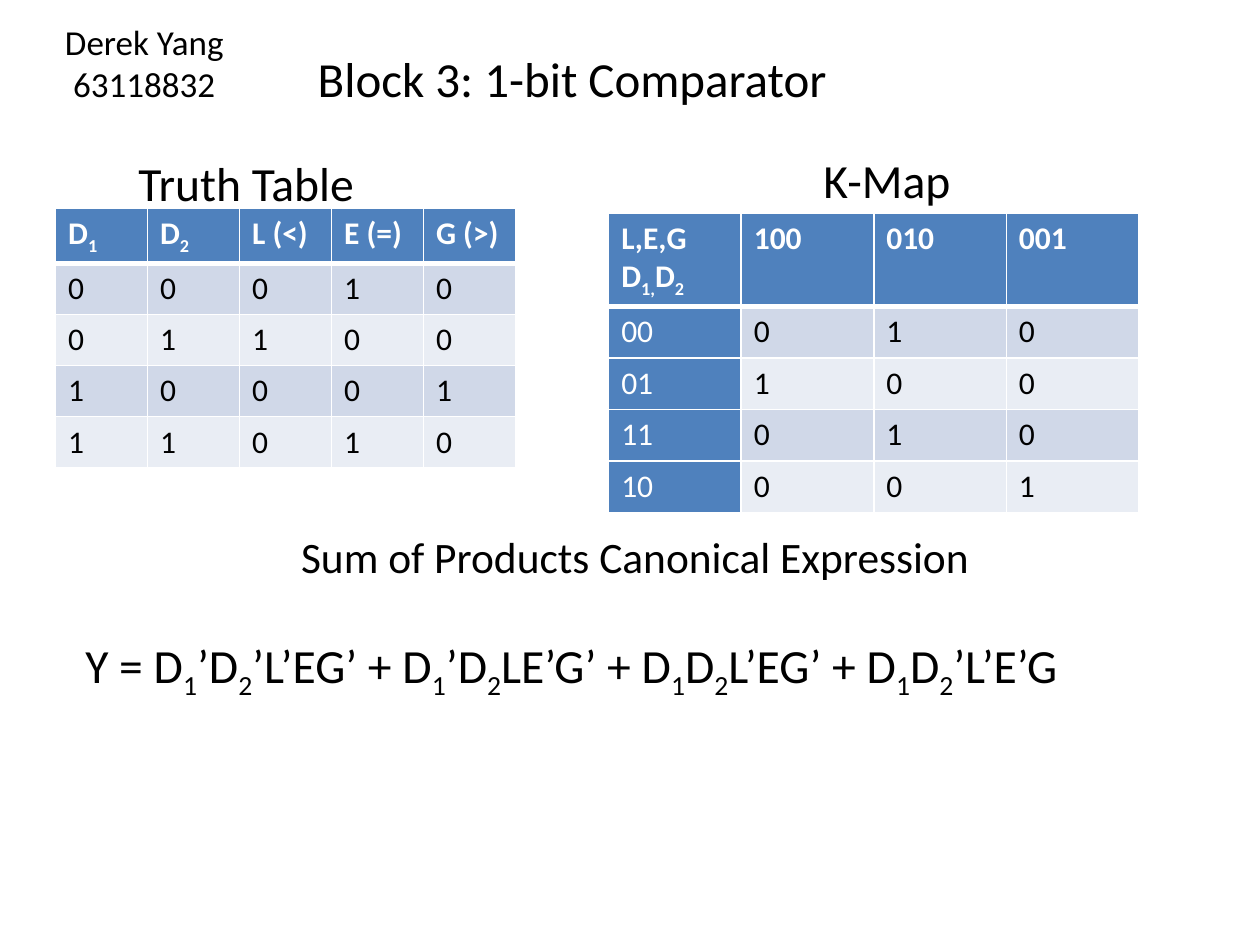
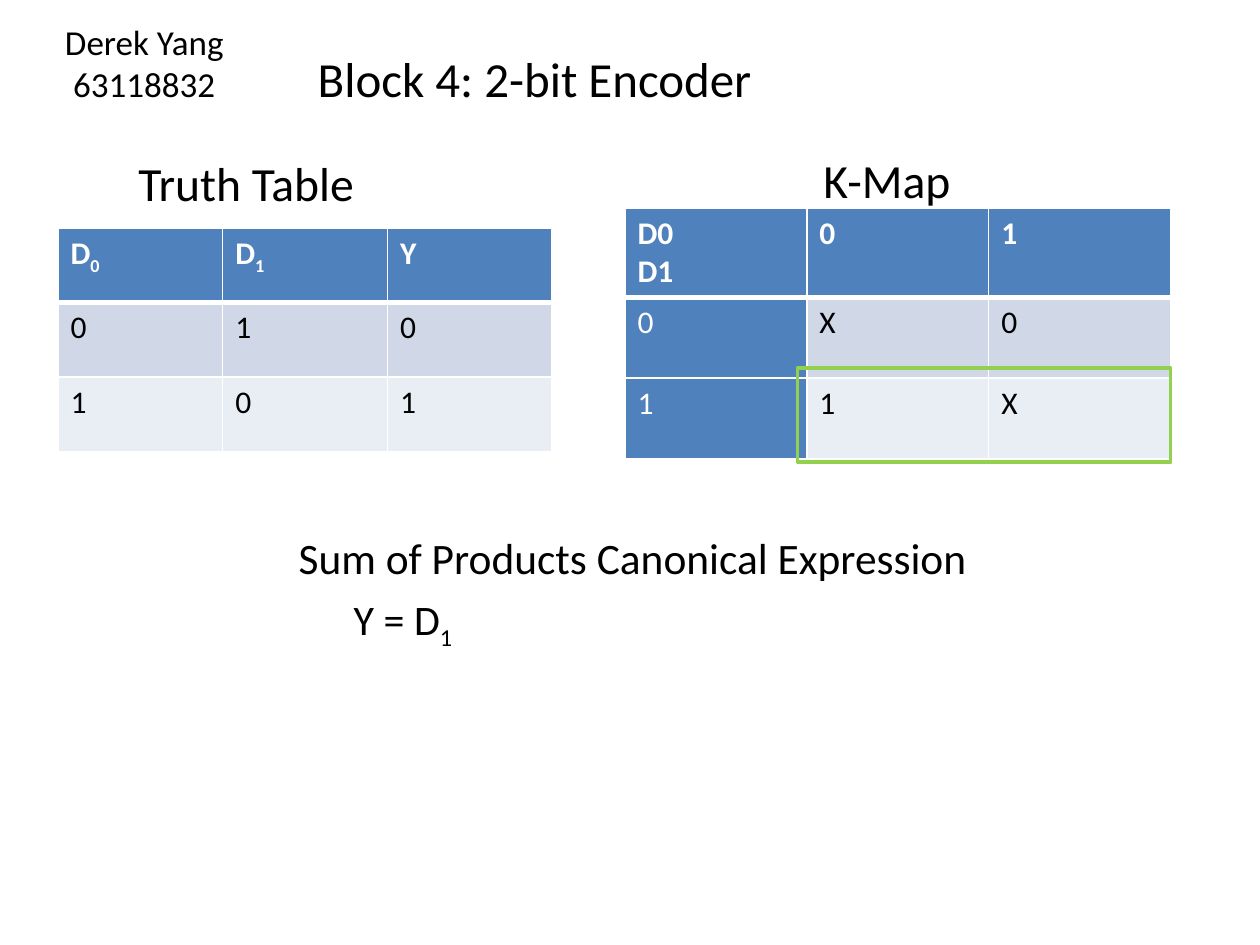
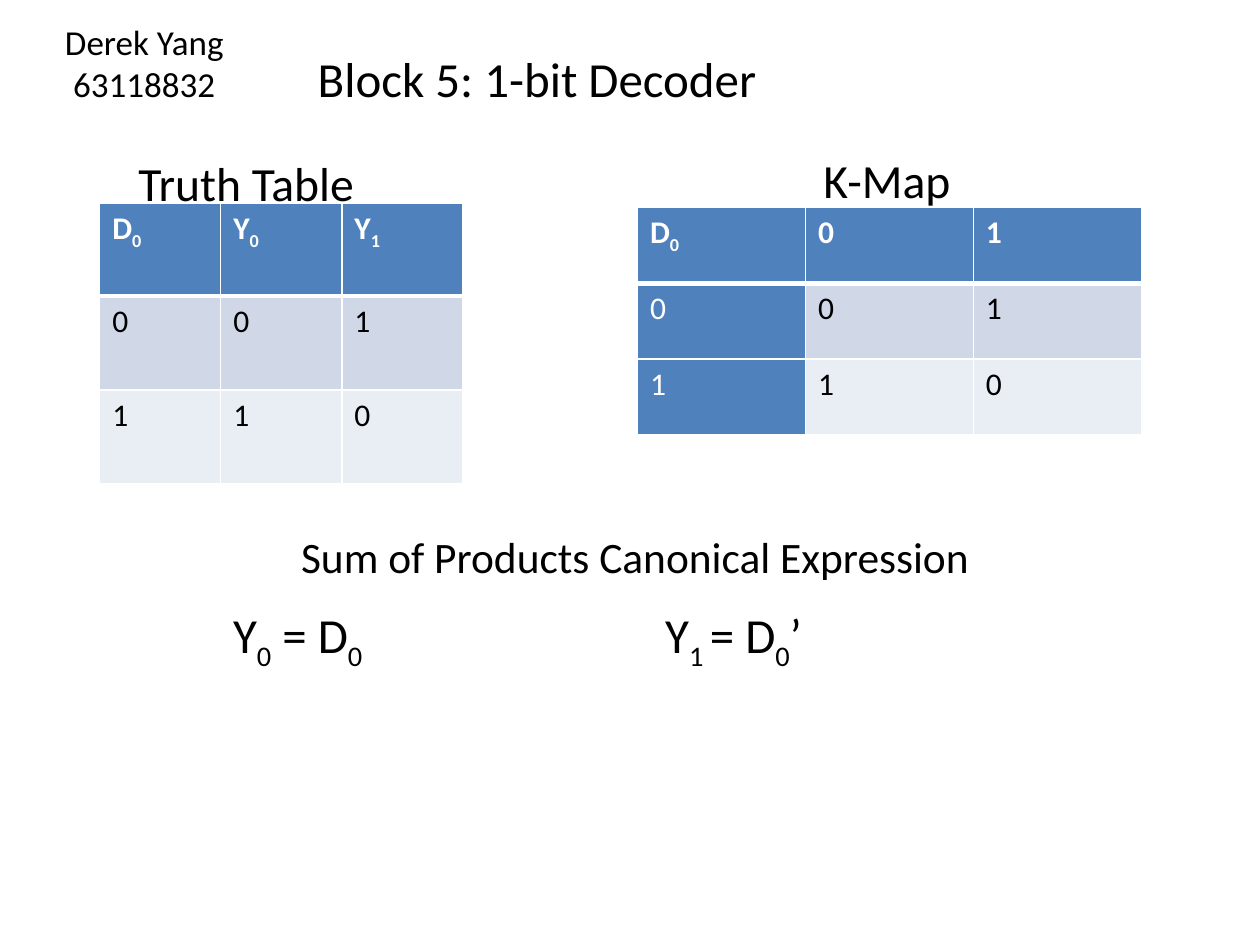
from lxml import etree
from pptx import Presentation
from pptx.dml.color import RGBColor
from pptx.enum.shapes import MSO_SHAPE
from pptx.enum.text import MSO_ANCHOR, MSO_AUTO_SIZE, PP_ALIGN
from pptx.oxml.ns import qn
from pptx.util import Cm, Pt

LEFT, MID = PP_ALIGN.LEFT, PP_ALIGN.CENTER
TOP, CENTRE = MSO_ANCHOR.TOP, MSO_ANCHOR.MIDDLE
FIXED, GROW = MSO_AUTO_SIZE.NONE, MSO_AUTO_SIZE.SHAPE_TO_FIT_TEXT
RECT = MSO_SHAPE.RECTANGLE

THEME = {
    "font": "Calibri",
    "ink": "000000", "paper": "FFFFFF", "head": "4F81BD",
    "bands": ("D0D8E8", "E9EDF4"), "mark": "92D050",
    "name": 20, "title": 28, "label": 27.2, "sum": 24.8, "cell": 18,
    "thin": 1, "thick": 3, "loop": 2,
}

NAME = "Derek Yang\v63118832"
SUM = "Sum of Products Canonical Expression"
LABELS = [("Truth Table", (2.54, 2.97, 5.28, 1.27), LEFT),
          ("K-Map", (15.24, 2.92, 5.28, 1.27), MID)]

# Text between tildes is subscript.
SLIDES = [
    {
        "title": "Block 3: 1-bit Comparator",
        "truth": ((1.12, 4.19, 9.27, 5.16), 1.03, [
            ("D~1~", "D~2~", "L (<)", "E (=)", "G (>)"),
            "00010", "01100", "10001", "11010"]),
        "map": ((12.27, 4.29, 10.69, 5.9), 1.04, [
            ("L,E,G\nD~1,~D~2~", "100", "010", "001"),
            ("00", *"010"), ("01", *"100"), ("11", *"010"), ("10", *"001")]),
        "sum": (5.51, 10.57, 14.6, 1.27),
        "expr": ("Y = D~1~’D~2~’L’EG’ + D~1~’D~2~LE’G’ + "
                 "D~1~D~2~L’EG’ + D~1~D~2~’L’E’G",
                 (1.47, 12.7, 21.16, 1.27), 27.2, FIXED),
    },
    {
        "title": "Block 4: 2-bit Encoder",
        "truth": ((1.17, 4.6, 9.96, 4.5), 1.5,
                  [("D~0~", "D~1~", "Y"), "010", "101"]),
        "map": ((12.6, 4.19, 11, 5.05), 1.62,
                [("D0\nD1", "0", "1"), "0X0", "11X"]),
        "sum": (5.46, 10.59, 14.6, 1.27),
        "expr": ("Y = D~1~", (6.88, 11.84, 16.71, 1.27), 24, GROW),
        "loop": (16.08, 7.42, 7.52, 1.9),
    },
    {
        "title": "Block 5: 1-bit Decoder",
        "truth": ((2.01, 4.09, 7.32, 5.66), 1.89,
                  [("D~0~", "Y~0~", "Y~1~"), "001", "110"]),
        "map": ((12.85, 4.17, 10.16, 4.6), 1.53,
                [("D~0~", "0", "1"), "001", "110"]),
        "sum": (5.51, 10.57, 14.6, 1.27),
        "expr": ("Y~0~ = D~0~\tY~1 ~= D~0~’",
                 (4.45, 12.07, 19.05, 1.45), 28, GROW),
        "tab": 8.71,
    },
]


def rgb(tone):
    return RGBColor.from_string(tone)


def span(box):
    return [Cm(n) for n in box]


def write(frame, text, size, tone=THEME["ink"], bold=False, align=LEFT):
    look = {"name": THEME["font"], "size": Pt(size), "bold": bold}
    for row, line in enumerate(text.split("\n")):
        para = frame.add_paragraph() if row else frame.paragraphs[0]
        para.alignment = align
        for part, piece in enumerate(line.split("\v")):
            if part:
                para.add_line_break()
            for turn, bit in enumerate(piece.split("~")):
                if not bit:
                    continue
                run = para.add_run()
                run.text = bit
                for key, value in look.items():
                    setattr(run.font, key, value)
                run.font.color.rgb = rgb(tone)
                if turn % 2:
                    run.font._element.set("baseline", "-25000")


def label(slide, text, box, size, align=LEFT, anchor=TOP, fit=FIXED, shape=None):
    shape = shape or slide.shapes.add_textbox(*span(box))
    for key, value in zip(("left", "top", "width", "height"), span(box)):
        setattr(shape, key, value)
    frame = shape.text_frame
    form = {"word_wrap": True, "auto_size": fit, "vertical_anchor": anchor}
    for key, value in form.items():
        setattr(frame, key, value)
    write(frame, text, size, align=align)
    return frame


def edge(cell, head, under):
    props = cell._tc.get_or_add_tcPr()
    for spot, side in enumerate("LRTB"):
        wide = head and side == "B" or under and side == "T"
        line = etree.Element(qn("a:ln" + side))
        line.set("w", str(Pt(THEME["thick" if wide else "thin"])))
        fill = etree.SubElement(line, qn("a:solidFill"))
        etree.SubElement(fill, qn("a:srgbClr")).set("val", THEME["paper"])
        props.insert(spot, line)


def grid(slide, box, step, rows, side):
    count, wide = len(rows), len(rows[0])
    table = slide.shapes.add_table(count, wide, *span(box)).table
    for col in table.columns:
        col.width = Cm(box[2] / wide)
    for r, row in enumerate(rows):
        table.rows[r].height = Cm(step if r else box[3] - step * (count - 1))
        for c, text in enumerate(row):
            cell = table.cell(r, c)
            head = r == 0
            dark = head or side and c == 0
            cell.fill.solid()
            cell.fill.fore_color.rgb = rgb(
                THEME["head"] if dark else THEME["bands"][(r - 1) % 2])
            edge(cell, head, r == 1)
            write(cell.text_frame, text, THEME["cell"],
                  THEME["paper" if dark else "ink"], head)


def ring(slide, box):
    shape = slide.shapes.add_shape(RECT, *span(box))
    shape.shadow.inherit = False
    shape.fill.background()
    shape.line.color.rgb = rgb(THEME["mark"])
    shape.line.width = Pt(THEME["loop"])


def stop(frame, place):
    props = frame.paragraphs[0]._p.get_or_add_pPr()
    tabs = etree.SubElement(props, qn("a:tabLst"))
    tab = etree.SubElement(tabs, qn("a:tab"))
    tab.set("pos", str(Cm(place)))
    tab.set("algn", "l")


def build(deck, data):
    slide = deck.slides.add_slide(deck.slide_layouts.get_by_name("Title Only"))
    label(slide, NAME, (0.05, 0.2, 5.72, 2.11), THEME["name"], MID, CENTRE)
    label(slide, data["title"], (6.15, 0.86, 13.97, 1.45), THEME["title"],
          fit=GROW, shape=slide.shapes.title)
    for text, box, align in LABELS:
        label(slide, text, box, THEME["label"], align)
    label(slide, SUM, data["sum"], THEME["sum"], MID)
    grid(slide, *data["truth"], False)
    grid(slide, *data["map"], True)
    text, box, size, fit = data["expr"]
    frame = label(slide, text, box, size, fit=fit)
    if "tab" in data:
        stop(frame, data["tab"])
    if "loop" in data:
        ring(slide, data["loop"])


deck = Presentation()
deck.slide_width, deck.slide_height = Cm(25.4), Cm(19.05)
for data in SLIDES:
    build(deck, data)
deck.save("out.pptx")
